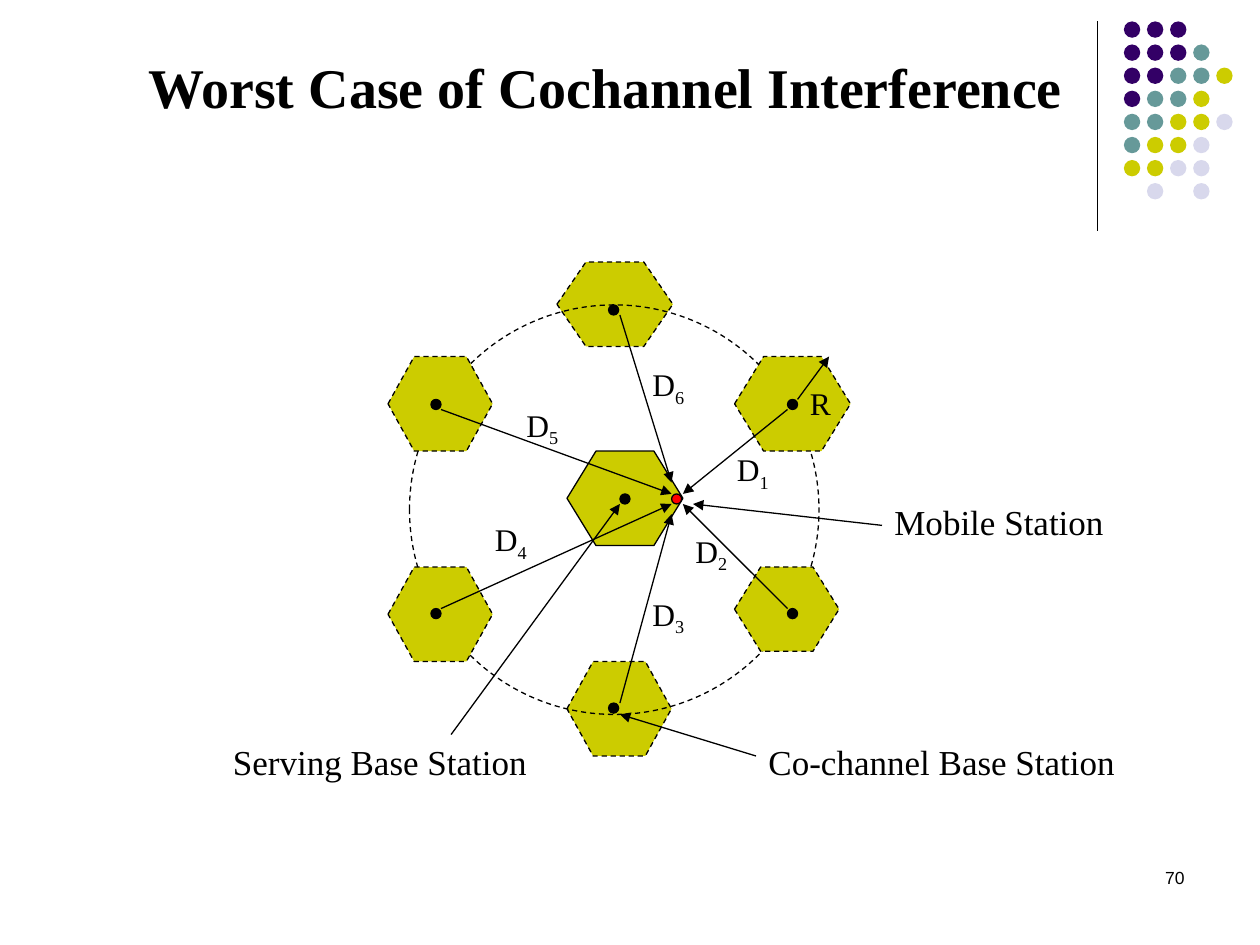
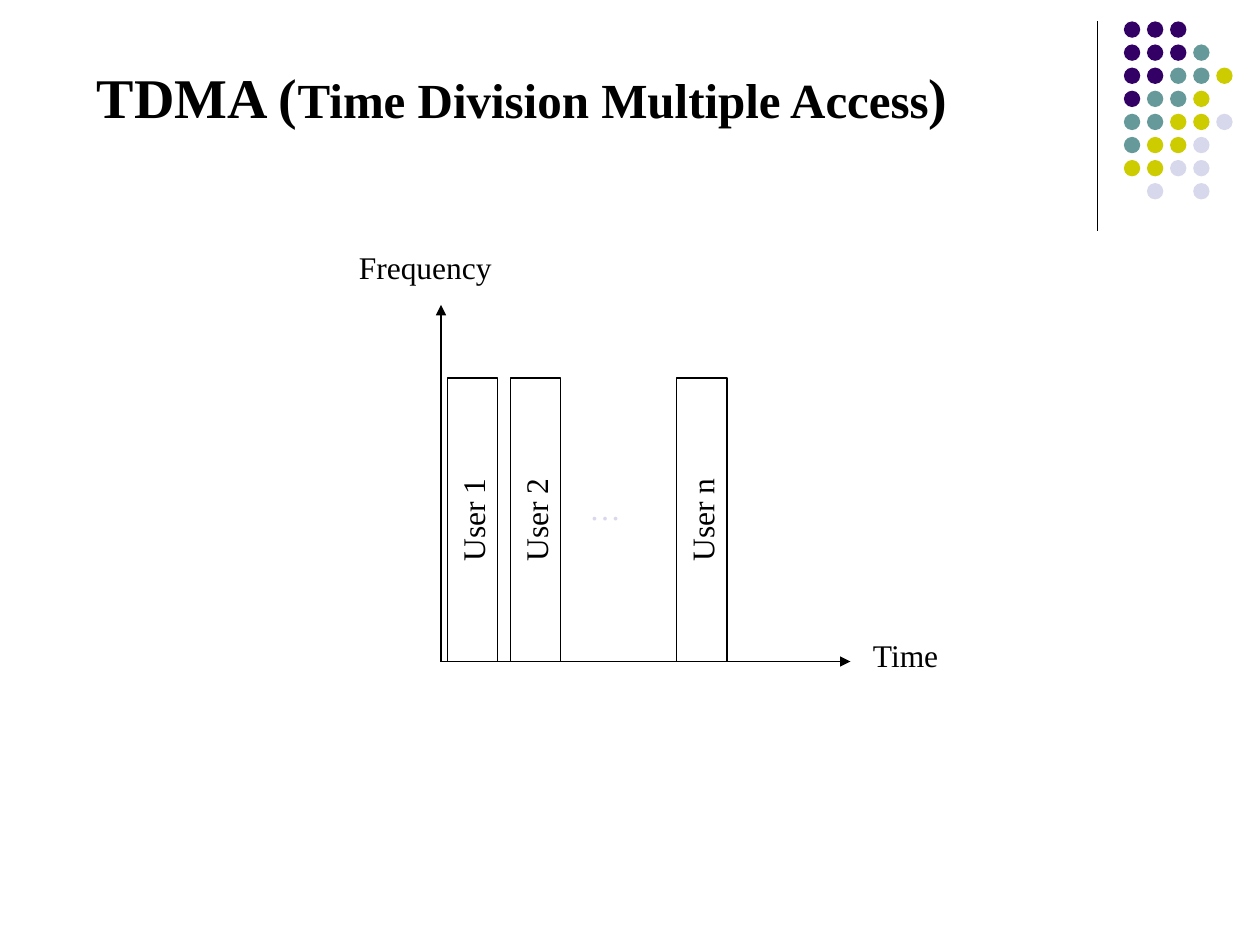
from lxml import etree
from pptx import Presentation
from pptx.dml.color import RGBColor
from pptx.enum.dml import MSO_LINE
from pptx.enum.shapes import MSO_CONNECTOR, MSO_SHAPE
from pptx.enum.text import MSO_ANCHOR, PP_ALIGN
from pptx.oxml.ns import qn
from pptx.util import Inches, Pt

BLACK, PURPLE, TEAL, OLIVE, LILAC, RED = (
    "000000", "330066", "669999", "CCCC00", "D8D8EC", "FF0000")
SERIF, SANS = "Times New Roman", "Arial"
DOT_COLORS = {"P": PURPLE, "T": TEAL, "O": OLIVE, "L": LILAC}
DOT_ROWS = ["PPP", "PPPT", "PPTTO", "PTTO", "TTOOL", "TOOL", "OOLL", " L L"]
DOT_PITCH = 0.55 / 3


def rgb(color):
    return RGBColor.from_string(color)


class Region:
    """Draws on a slide with lengths in inches from its own top left corner."""

    def __init__(self, slide, left=0, top=0):
        self.shapes, self.left, self.top = slide.shapes, left, top

    def place(self, x, y):
        return Inches(self.left + x), Inches(self.top + y)

    def shape(self, kind, x, y, w, h, fill=None, line=BLACK, dashed=False):
        sp = self.shapes.add_shape(kind, *self.place(x, y), Inches(w), Inches(h))
        sp.shadow.inherit = False
        if fill:
            sp.fill.solid()
            sp.fill.fore_color.rgb = rgb(fill)
        else:
            sp.fill.background()
        if line:
            sp.line.color.rgb = rgb(line)
            sp.line.width = Pt(0.75)
            if dashed:
                sp.line.dash_style = MSO_LINE.DASH
        else:
            sp.line.fill.background()
        return sp

    def line(self, start, end, arrow=True):
        cx = self.shapes.add_connector(
            MSO_CONNECTOR.STRAIGHT, *self.place(*start), *self.place(*end))
        cx.line.color.rgb = rgb(BLACK)
        cx.line.width = Pt(0.75)
        if arrow:
            ln = cx.line._get_or_add_ln()
            etree.SubElement(ln, qn("a:tailEnd"), type="triangle")
        etree.SubElement(cx._element.spPr, qn("a:effectLst"))

    def text(self, words, x, y, w, h=0.4, size=18, **style):
        box = self.shapes.add_textbox(*self.place(x, y), Inches(w), Inches(h))
        return write(box, words, size, **style)


def write(sp, words, size, font=SERIF, color=BLACK, bold=False,
          align=PP_ALIGN.LEFT, anchor=MSO_ANCHOR.TOP):
    """Fill a shape with one paragraph and return its runs."""
    tf = sp.text_frame
    tf.word_wrap = True
    tf.vertical_anchor = anchor
    p = tf.paragraphs[0]
    p.alignment = align
    p.font.name, p.font.size, p.font.bold = font, Pt(size), bold
    p.font.color.rgb = rgb(color)
    runs = []
    for word in words if isinstance(words, list) else [words]:
        r = p.add_run()
        r.text = word
        runs.append(r)
    return runs


def add_corner(slide):
    """Vertical rule and dot pattern shared by all slides."""
    corner = Region(slide, 8.71, 0.17)
    corner.line((0, 0), (0, 1.66), arrow=False)
    for row, codes in enumerate(DOT_ROWS):
        for col, code in enumerate(codes):
            if code in DOT_COLORS:
                corner.shape(MSO_SHAPE.OVAL, 0.21 + col * DOT_PITCH, row * DOT_PITCH,
                             0.13, 0.13, DOT_COLORS[code], line=None)


def add_base_slide(prs, title, x, y, w, h):
    """Return a slide with the corner and a title, and the title's runs."""
    slide = prs.slides.add_slide(prs.slide_layouts[6])
    add_corner(slide)
    runs = Region(slide).text(title, x, y, w, h, 32, bold=True,
                              anchor=MSO_ANCHOR.BOTTOM)
    return slide, runs


def add_cell(region, x, y, w, h, dashed=True):
    sp = region.shape(MSO_SHAPE.HEXAGON, x, y, w, h, OLIVE, dashed=dashed)
    sp.adjustments[0] = w / 4 / min(w, h)


def add_station(region, x, y, fill=BLACK):
    region.shape(MSO_SHAPE.OVAL, x, y, 0.08, 0.08, fill)


def add_cell_diagram(slide, left, top):
    region = Region(slide, left, top)

    add_cell(region, 2.75, 1.58, 0.92, 0.75, dashed=False)
    add_cell(region, 2.67, 0.08, 0.92, 0.67)
    add_cell(region, 2.75, 3.25, 0.83, 0.75)
    region.shape(MSO_SHAPE.OVAL, 1.5, 0.42, 3.25, 3.25, dashed=True)
    for cell in [(4.08, 0.83, 0.92, 0.75), (4.08, 2.5, 0.83, 0.67),
                 (1.33, 0.83, 0.83, 0.75), (1.33, 2.5, 0.83, 0.75)]:
        add_cell(region, *cell)

    add_station(region, 3.17, 1.92)
    add_station(region, 3.58, 1.92, RED)

    # Station, arrow start, arrow end and label position for D1 to D6
    distances = [
        ((4.5, 1.17), (4.5, 1.25), (3.67, 1.92), (4, 1.52)),
        ((4.5, 2.83), (4.5, 2.83), (3.67, 2), (3.67, 2.17)),
        ((3.08, 3.58), (3.17, 3.58), (3.58, 2.08), (3.33, 2.67)),
        ((1.67, 2.83), (1.75, 2.83), (3.58, 2), (2.08, 2.08)),
        ((1.67, 1.17), (1.75, 1.25), (3.58, 1.92), (2.33, 1.17)),
        ((3.08, 0.42), (3.17, 0.5), (3.58, 1.83), (3.33, 0.85)),
    ]
    for number, (station, start, end, label) in enumerate(distances, 1):
        add_station(region, *station)
        region.line(start, end)
        index = region.text(["D", str(number)], *label, 0.58, 0.44)[1]
        index._r.get_or_add_rPr().set("baseline", "-25000")

    region.line((4.58, 1.17), (4.83, 0.83))
    region.text("R", 4.58, 1, 0.42)

    for name, x, y, w, start, end in [
            ("Mobile Station", 5.25, 1.92, 2.17, (5.25, 2.17), (3.75, 2)),
            ("Serving Base Station", 0, 3.83, 2.58, (1.83, 3.83), (3.17, 2)),
            ("Co-channel Base Station", 4.25, 3.83, 3.08, (4.25, 4), (3.17, 3.67))]:
        region.line(start, end)
        region.text(name, x, y, w, 0.44, 20)


def add_time_slots(slide, left, top):
    """Frequency and time axes with one upright bar for each user."""
    region = Region(slide, left, top)
    origin = (0.75, 3.33)
    region.line(origin, (4, 3.33))
    region.line(origin, (0.75, 0.5))

    length, thick = 2.25, 0.4
    for user, x in [("User 1", 0.8), ("User 2", 1.3), ("User n", 2.62)]:
        bar = region.shape(MSO_SHAPE.RECTANGLE, x + (thick - length) / 2,
                           origin[1] - (length + thick) / 2, length, thick)
        bar.rotation = 270
        write(bar, user, 18, align=PP_ALIGN.CENTER)

    region.text("…", 1.83, 1.91, 0.58, color=LILAC)
    region.text("Time", 4.08, 3.08, 1)
    region.text("Frequency", 0, 0, 1.67)


def main():
    prs = Presentation()
    prs.slide_width, prs.slide_height = Inches(10), Inches(7.5)

    slide, _ = add_base_slide(
        prs, "Worst Case of Cochannel Interference", 1.08, 0.17, 8.5, 0.83)
    Region(slide).text("70", 7.17, 6.83, 2.33, 0.5, 10, font=SANS,
                       align=PP_ALIGN.RIGHT)
    add_cell_diagram(slide, 1.75, 2)

    slide, runs = add_base_slide(
        prs, ["TDMA (", "Time Division Multiple Access", ")"], 0.67, 0.1, 8.9, 0.98)
    runs[1].font.size = Pt(28)
    add_time_slots(slide, 2.75, 1.92)

    prs.save("out.pptx")


if __name__ == "__main__":
    main()
